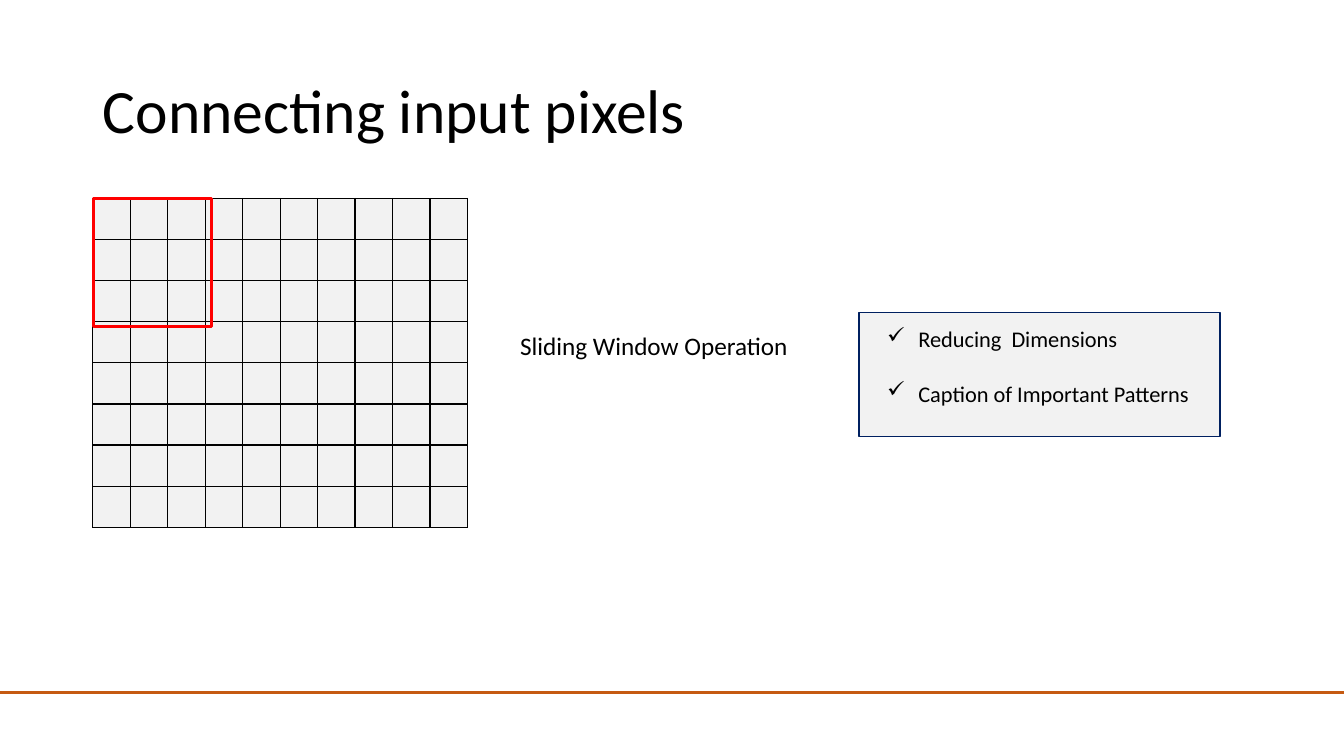
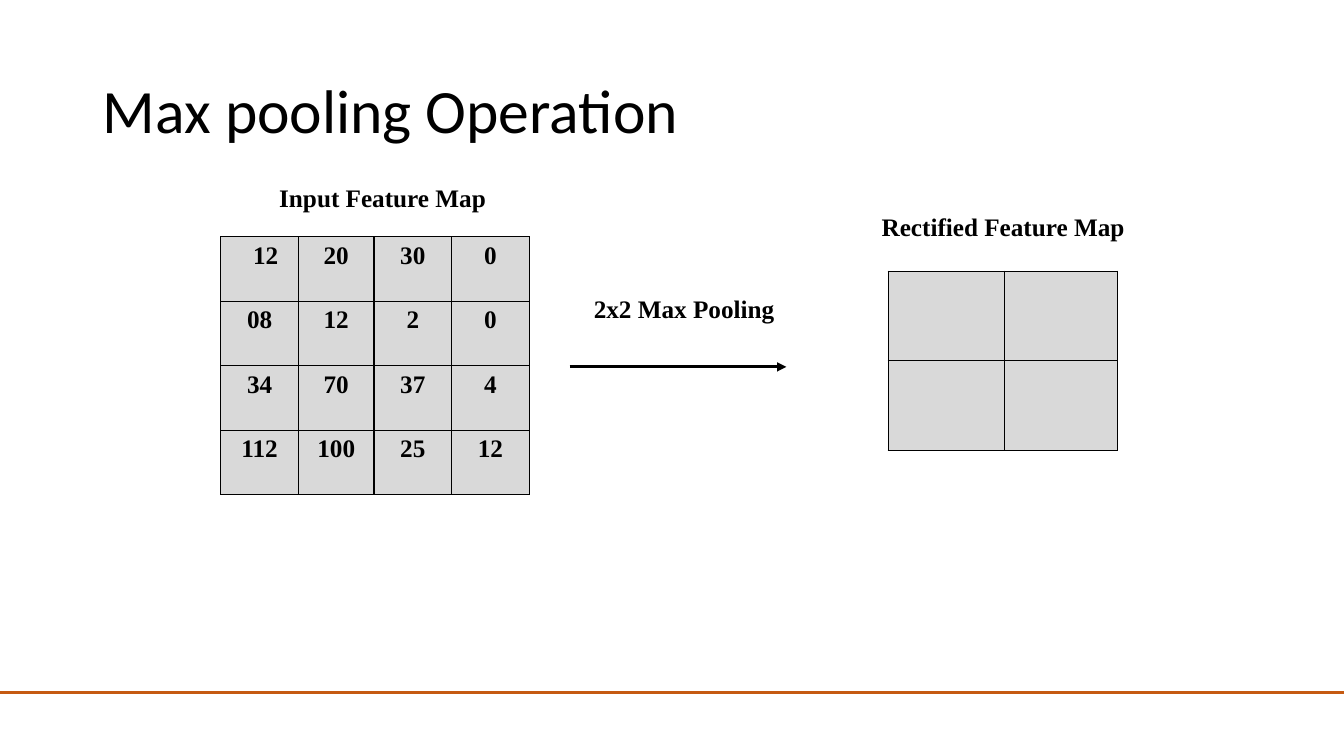
import pptx
import pptx.util
import pptx.dml.color
import pptx.enum.shapes
import pptx.enum.text
import pptx.oxml
import pptx.oxml.ns
import lxml.etree

Inches = pptx.util.Inches
Pt = pptx.util.Pt
RECTANGLE = pptx.enum.shapes.MSO_SHAPE.RECTANGLE
STRAIGHT = pptx.enum.shapes.MSO_CONNECTOR.STRAIGHT
ALIGN = pptx.enum.text.PP_ALIGN
qn = pptx.oxml.ns.qn

BLACK, WHITE, RED, NAVY, ORANGE = "000000", "FFFFFF", "FF0000", "002060", "C55A11"
PALE_GREY, MID_GREY = "F2F2F2", "D9D9D9"


def color(value):
    return pptx.dml.color.RGBColor.from_string(value)


TITLE = {"name": "Calibri", "size": Pt(44), "bold": False}
BODY = {"name": "Calibri", "size": Pt(18), "bold": False}
CHECKS = {**BODY, "size": Pt(16)}
LABEL = {"name": "Times New Roman", "size": Pt(18), "bold": True}


def write(para, text, style, align=ALIGN.LEFT):
    para.alignment = align
    span = para.add_run()
    span.text = text
    for name, value in style.items():
        setattr(span.font, name, value)
    span.font.color.rgb = color(BLACK)


deck = pptx.Presentation()
deck.slide_width, deck.slide_height = Inches(13.33), Inches(7.5)

# Title and footer rule of every slide
pages = []
lines = []
for heading in ("Connecting input pixels", "Max pooling Operation"):
    page = deck.slides.add_slide(deck.slide_layouts[5])
    title = page.shapes.title
    title.left, title.top = Inches(0.92), Inches(0.4)
    title.width, title.height = Inches(11.5), Inches(1.45)
    title.text_frame.vertical_anchor = pptx.enum.text.MSO_ANCHOR.MIDDLE
    title.text_frame.paragraphs[0].line_spacing = 0.9
    write(title.text_frame.paragraphs[0], heading, TITLE)
    rule = page.shapes.add_connector(STRAIGHT, 0, Inches(6.87), deck.slide_width, Inches(6.87))
    lines.append((rule, ORANGE))
    pages.append(page)
pixels, pooling = pages

# Box behind the check list
panel = pixels.shapes.add_shape(RECTANGLE, Inches(8.52), Inches(3.1), Inches(3.58), Inches(1.23))
panel.shadow.inherit = False
panel.fill.solid()
panel.fill.fore_color.rgb = color(PALE_GREY)
panel.line.color.rgb = color(NAVY)
panel.line.width = Pt(1)

# Tables: page, left, top, column widths, row height, fill, values
feature_map = [
    ["12", "20", "30", "0"],
    ["08", "12", "2", "0"],
    ["34", "70", "37", "4"],
    ["112", "100", "25", "12"],
]
tables = [
    (pixels, 0.92, 1.97, [3.72 / 10] * 10, 3.26 / 8, PALE_GREY, [[""] * 10] * 8),
    (pooling, 2.19, 2.35, [0.77, 0.75, 0.77, 0.77], 0.64, MID_GREY, feature_map),
    (pooling, 8.81, 2.69, [1.15, 1.12], 0.89, MID_GREY, [[""] * 2] * 2),
]
grids = []
for page, left, top, widths, row_height, fill, values in tables:
    grid = page.shapes.add_table(
        len(values), len(widths), Inches(left), Inches(top),
        Inches(sum(widths)), Inches(row_height * len(values))).table
    grid.first_row = grid.horz_banding = False
    for column, width in zip(grid.columns, widths):
        column.width = Inches(width)
    for row, texts in zip(grid.rows, values):
        row.height = Inches(row_height)
        for cell, text in zip(row.cells, texts):
            if text:
                write(cell.text_frame.paragraphs[0], text, LABEL, ALIGN.CENTER)
            properties = cell._tc.get_or_add_tcPr()
            for side in ("a:lnL", "a:lnR", "a:lnT", "a:lnB"):
                border = lxml.etree.SubElement(properties, qn(side), w=str(Pt(1)))
                paint = lxml.etree.SubElement(border, qn("a:solidFill"))
                lxml.etree.SubElement(paint, qn("a:srgbClr"), val=BLACK)
            cell.fill.solid()
            cell.fill.fore_color.rgb = color(fill)
    grids.append(grid)
grids[1].cell(0, 0).margin_left = Inches(0.22)

# Sliding window on the pixel grid
window = pixels.shapes.add_shape(RECTANGLE, Inches(0.93), Inches(1.97), Inches(1.17), Inches(1.27))
window.shadow.inherit = False
window.fill.background()
window.line.color.rgb = color(RED)
window.line.width = Pt(2.25)

# Caption and check list
caption = pixels.shapes.add_textbox(Inches(5.06), Inches(3.23), Inches(3.64), Inches(0.4))
caption.text_frame.word_wrap = True
write(caption.text_frame.paragraphs[0], "Sliding Window Operation", BODY)

checklist = pixels.shapes.add_textbox(Inches(8.7), Inches(3.18), Inches(3.68), Inches(1.45))
frame = checklist.text_frame
frame.word_wrap = True
for index, text in enumerate(("Reducing  Dimensions", "Caption of Important Patterns")):
    para = frame.add_paragraph() if index else frame.paragraphs[0]
    properties = para._p.get_or_add_pPr()
    properties.set("marL", str(Inches(0.31)))
    properties.set("indent", str(-Inches(0.31)))
    lxml.etree.SubElement(properties, qn("a:buChar"), char="✓")
    if index:
        para.space_before = Pt(19.5)
    write(para, text, CHECKS)

# Pooling arrow
arrow = pooling.shapes.add_connector(STRAIGHT, Inches(5.65), Inches(3.64), Inches(7.8), Inches(3.64))
lines.append((arrow, BLACK))
for line, stroke in lines:
    line.line.color.rgb = color(stroke)
    line.line.width = Pt(2.25)
    lxml.etree.SubElement(line._element.spPr, qn("a:effectLst"))
lxml.etree.SubElement(arrow.line._get_or_add_ln(), qn("a:tailEnd"), type="triangle")

# Labels of the pooling step
for text, left, top, width in (
    ("2x2 Max Pooling", 5.65, 2.86, 2.27),
    ("Input Feature Map", 2.66, 1.76, 2.27),
    ("Rectified Feature Map", 8.41, 2.05, 3.08),
):
    box = pooling.shapes.add_shape(RECTANGLE, Inches(left), Inches(top), Inches(width), Inches(0.4))
    box.shadow.inherit = False
    box.fill.solid()
    box.fill.fore_color.rgb = color(WHITE)
    box.line.fill.background()
    box.text_frame.word_wrap = True
    write(box.text_frame.paragraphs[0], text, LABEL, ALIGN.CENTER)

deck.save("out.pptx")
